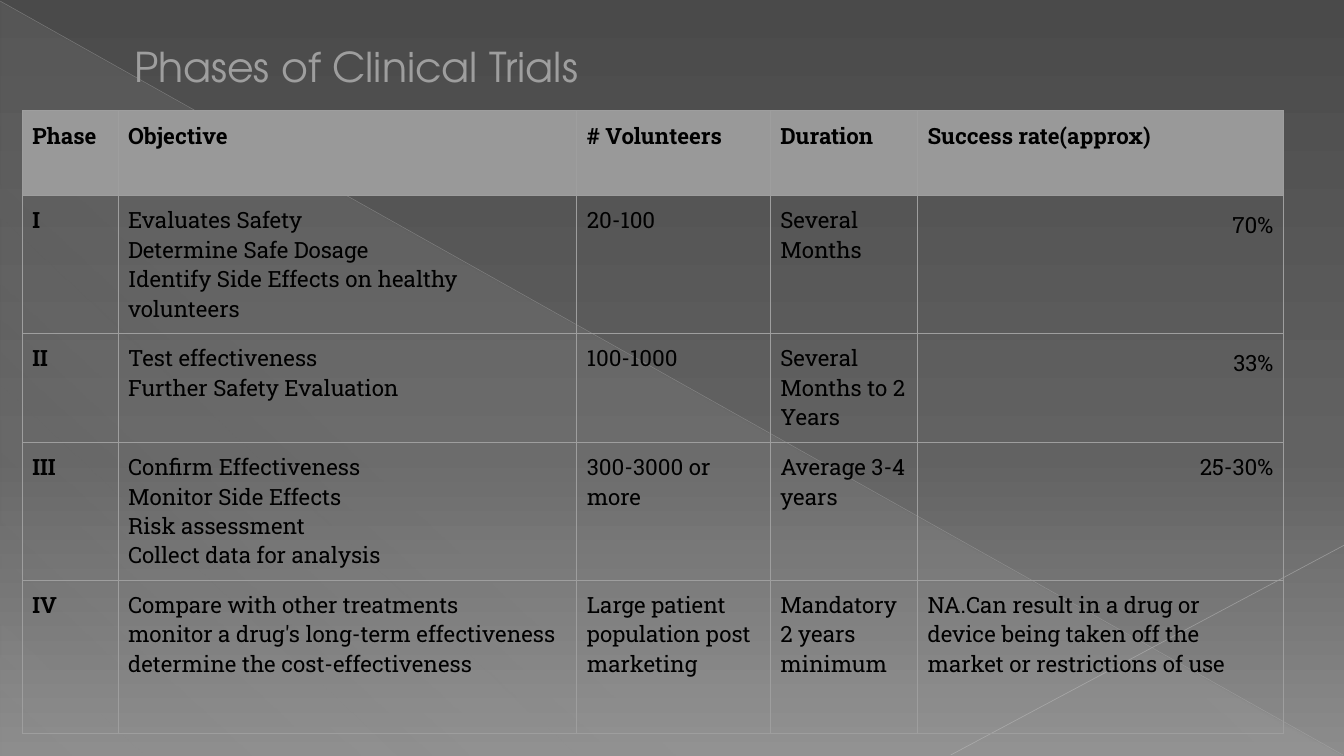
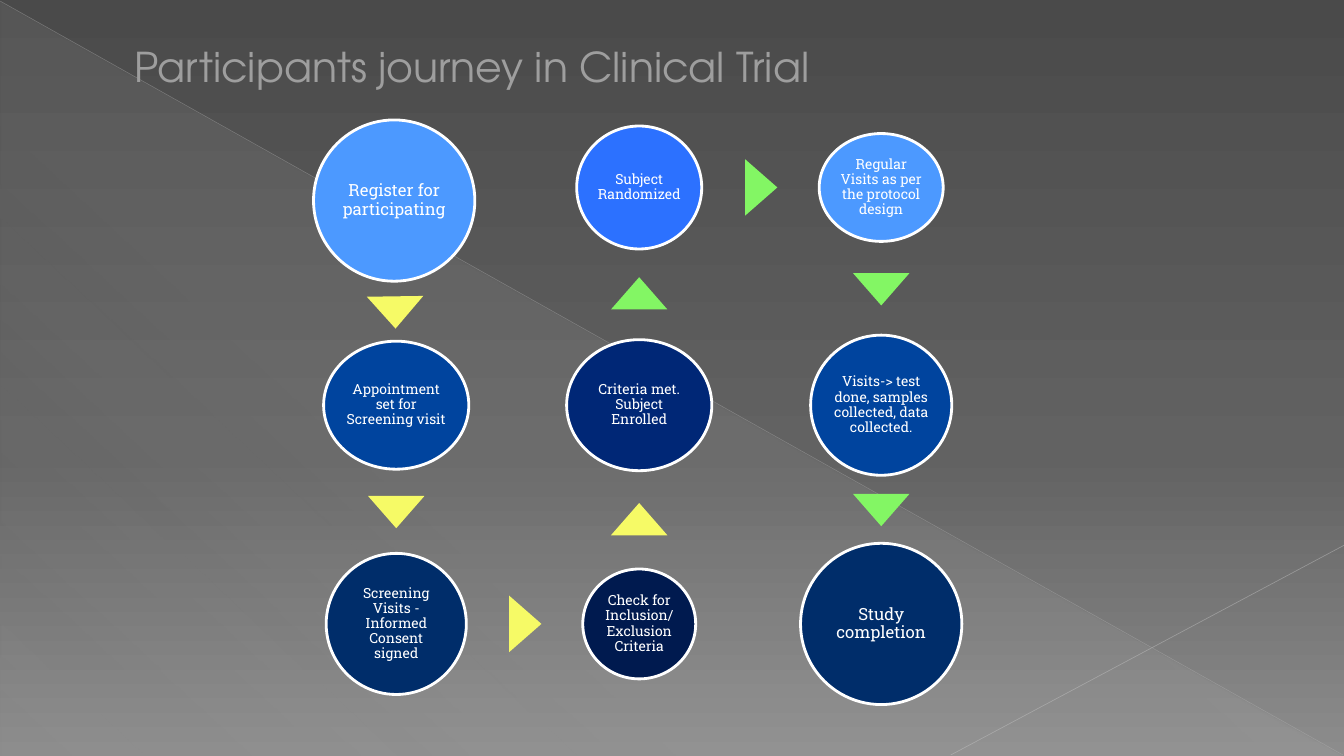
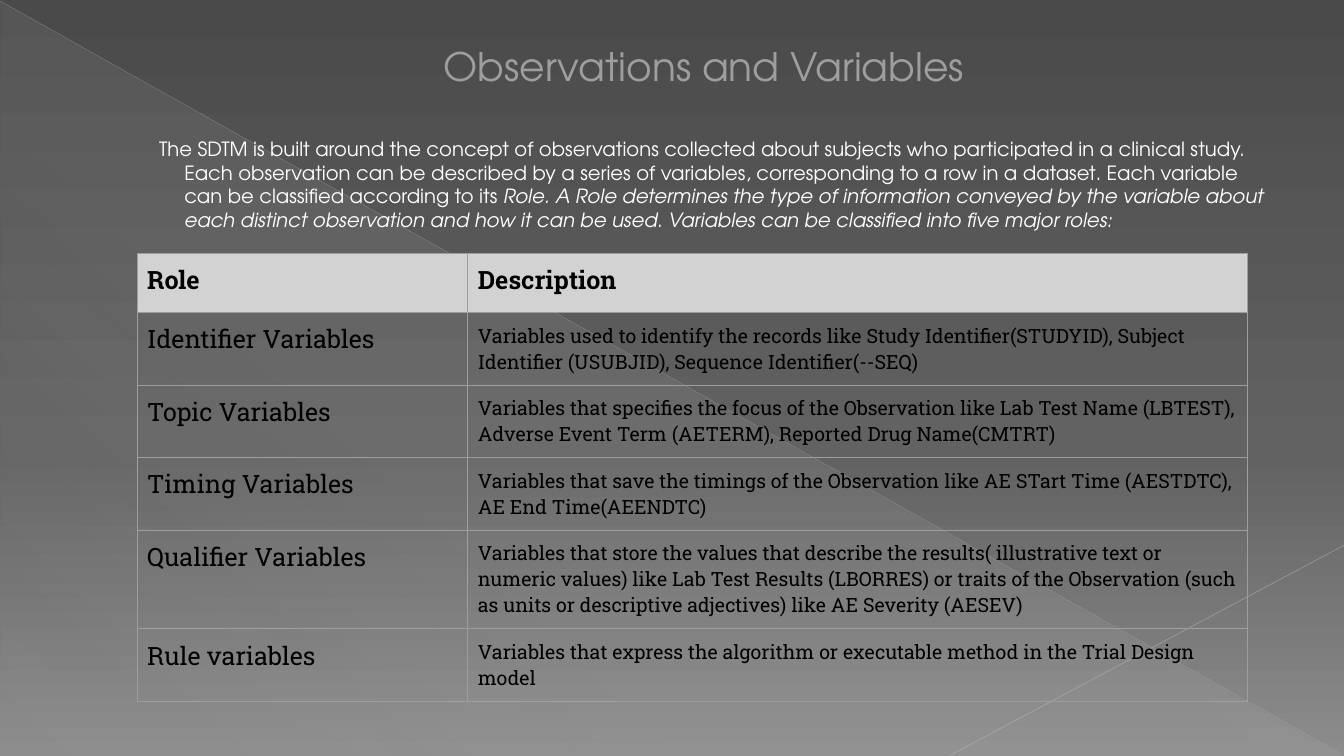
from lxml import etree
from pptx import Presentation
from pptx.dml.color import RGBColor
from pptx.enum.shapes import MSO_CONNECTOR, MSO_SHAPE
from pptx.enum.text import MSO_ANCHOR, MSO_AUTO_SIZE, PP_ALIGN
from pptx.oxml import parse_xml
from pptx.oxml.ns import nsdecls, qn
from pptx.util import Inches, Pt

LEFT, CENTER, RIGHT = PP_ALIGN.LEFT, PP_ALIGN.CENTER, PP_ALIGN.RIGHT
TOP, MIDDLE = MSO_ANCHOR.TOP, MSO_ANCHOR.MIDDLE
OVAL, TRIANGLE, RIGHT_TRIANGLE = MSO_SHAPE.OVAL, MSO_SHAPE.ISOSCELES_TRIANGLE, MSO_SHAPE.RIGHT_TRIANGLE
STRAIGHT = MSO_CONNECTOR.STRAIGHT
NO_FIT = MSO_AUTO_SIZE.NONE
SERIF, SANS = "Roboto Slab", "TeX Gyre Adventor"
GREY, LIGHT, BLACK, WHITE = "9E9E9E", "D2D2D2", "000000", "FFFFFF"
YELLOW, GREEN = "F6FA66", "83F664"

# Shared look: gradient stops are (position %, colour, opacity %)
BACKGROUND = [(0, "4A4A4A", 100), (60, "626262", 100), (100, "8C8C8C", 100)]
WEDGE = [(0, LIGHT, 10), (70, LIGHT, 8), (100, LIGHT, 1)]
# start x, start y, end x, end y, colour, width, opacity %
RULES = [(0, 0.01, 13.32, 7.49, "BFBFBF", 0.39, 35),
         (13.33, 5.41, 9.43, 7.49, "C6C6C6", 0.47, 45)]

# Slide 1: each cell is a list of paragraphs
PHASES = [
    [["Phase"], ["Objective"], ["# Volunteers"], ["Duration"], ["Success rate(approx)"]],
    [["I"], ["Evaluates Safety", "Determine Safe Dosage",
             "Identify Side Effects on healthy volunteers"],
     ["20-100"], ["Several Months"], ["70%"]],
    [["II"], ["Test effectiveness", "Further Safety Evaluation"],
     ["100-1000"], ["Several Months to 2 Years"], ["33%"]],
    [["III"], ["Confirm Effectiveness", "Monitor Side Effects", "Risk assessment",
               "Collect data for analysis"],
     ["300-3000 or more"], ["Average 3-4 years"], ["25-30%"]],
    [["IV"], ["Compare with other treatments", "monitor a drug's long-term effectiveness",
              "determine the cost-effectiveness"],
     ["Large patient population post marketing"], ["Mandatory 2 years minimum"],
     ["NA.Can result in a drug or device being taken off the market or restrictions of use"]],
]

# Slide 2: column centres and row centres of the journey
COLUMN_X = [3.93, 6.34, 8.74]
ROW_Y = [1.86, 4.02, 6.19]
# text, centre, width, height, fill, text size
STEPS = [
    ("Register for participating", (3.91, 1.99), 1.6, 1.6, "4C99FF", 12),
    ("Appointment set for Screening visit", (COLUMN_X[0], ROW_Y[1]), 1.44, 1.27, "00449E", 10),
    ("Screening Visits - Informed Consent signed", (COLUMN_X[0], ROW_Y[2]), 1.39, 1.4, "002D6A", 10),
    ("Check for Inclusion/ Exclusion Criteria", (COLUMN_X[1], ROW_Y[2]), 1.12, 1.09, "001A4F", 10),
    ("Criteria met. Subject Enrolled", (COLUMN_X[1], ROW_Y[1]), 1.44, 1.3, "002776", 10),
    ("Subject Randomized", (COLUMN_X[1], ROW_Y[0]), 1.24, 1.22, "2C71FF", 10),
    ("Regular Visits as per the protocol design", (COLUMN_X[2], ROW_Y[0]), 1.23, 1.07, "4C99FF", 10),
    ("Visits-> test done, samples collected, data collected.",
     (COLUMN_X[2], ROW_Y[1]), 1.4, 1.39, "00449E", 10),
    ("Study completion", (COLUMN_X[2], ROW_Y[2]), 1.6, 1.6, "002D6A", 12),
]
# centre, rotation, fill
ARROWS = [
    ((3.92, 3.1), 179.2, YELLOW), ((COLUMN_X[0], 5.08), 180, YELLOW),
    ((5.21, ROW_Y[2]), 90, YELLOW), ((COLUMN_X[1], 5.15), 0, YELLOW),
    ((COLUMN_X[1], 2.91), 0, GREEN), ((7.55, ROW_Y[0]), 90, GREEN),
    ((COLUMN_X[2], 2.87), 180, GREEN), ((COLUMN_X[2], 5.06), 180, GREEN),
]

# Slide 3: the introduction is (text, italic) spans
INTRO = [
    ("The SDTM is built around the concept of observations collected about subjects who "
     "participated in a clinical study. Each observation can be described by a series of "
     "variables, corresponding to a row in a dataset. Each variable can be classified "
     "according to its ", False),
    ("Role. A Role determines the type of information conveyed by the variable about each "
     "distinct observation and how it can be used. Variables can be classified into five "
     "major roles:", True),
]
ROLES = [
    [["Role"], ["Description"]],
    [["Identifier Variables"],
     ["Variables used to identify the records like Study Identifier(STUDYID), Subject "
      "Identifier (USUBJID), Sequence Identifier(--SEQ)"]],
    [["Topic Variables"],
     ["Variables that specifies the focus of the Observation like Lab Test Name (LBTEST), "
      "Adverse Event Term (AETERM), Reported Drug Name(CMTRT)"]],
    [["Timing Variables"],
     ["Variables that save the timings of the Observation like AE STart Time (AESTDTC), "
      "AE End Time(AEENDTC)"]],
    [["Qualifier Variables"],
     ["Variables that store the values that describe the results( illustrative text or "
      "numeric values) like Lab Test Results (LBORRES) or traits of the Observation (such "
      "as units or descriptive adjectives) like AE Severity (AESEV)"]],
    [["Rule variables"],
     ["Variables that express the algorithm or executable method in the Trial Design model"]],
]


def color(code):
    return RGBColor.from_string(code)


def write(frame, paragraphs, size, font=SERIF, code=BLACK, bold=False, align=LEFT,
          spacing=None, anchor=TOP, insets=(0.1, 0.05), indent=None):
    """Fill a text frame; a paragraph is a string or a list of (text, italic)."""
    frame.word_wrap = True
    frame.auto_size = NO_FIT
    frame.vertical_anchor = anchor
    frame.margin_left = frame.margin_right = Inches(insets[0])
    frame.margin_top = frame.margin_bottom = Inches(insets[1])
    for index, content in enumerate(paragraphs):
        para = frame.add_paragraph() if index else frame.paragraphs[0]
        para.alignment = align
        if spacing:
            para.line_spacing = spacing
        if indent:
            properties = para._p.get_or_add_pPr()
            properties.set("marL", str(Inches(indent[0])))
            properties.set("indent", str(Inches(indent[1])))
        for text, italic in [(content, False)] if isinstance(content, str) else content:
            span = para.add_run()
            span.text = text
            span.font.name, span.font.size = font, Pt(size)
            span.font.bold, span.font.italic = bold, italic
            span.font.color.rgb = color(code)


def set_gradient(owner, stops, angle):
    """Swap the owner's solid fill for a linear gradient."""
    owner.fill.solid() if hasattr(owner, "fill") else owner.background.fill.solid()
    solid = owner._element.find(".//" + qn("a:solidFill"))
    marks = "".join(
        f'<a:gs pos="{place * 1000}"><a:srgbClr val="{code}">'
        f'<a:alpha val="{opacity * 1000}"/></a:srgbClr></a:gs>'
        for place, code, opacity in stops)
    solid.getparent().replace(solid, parse_xml(
        f'<a:gradFill rotWithShape="1" {nsdecls("a")}><a:gsLst>{marks}</a:gsLst>'
        f'<a:lin ang="{angle * 60000}" scaled="0"/></a:gradFill>'))


def add_shape(page, kind, center, width, height, code):
    x, y = center
    shape = page.shapes.add_shape(kind, Inches(x - width / 2), Inches(y - height / 2),
                                  Inches(width), Inches(height))
    shape.shadow.inherit = False
    shape.fill.solid()
    shape.fill.fore_color.rgb = color(code)
    shape.line.fill.background()
    return shape


def decorate_master(deck, page):
    """Build the wedge and rules, then hand them to the slide master."""
    master = deck.slide_master
    set_gradient(master, BACKGROUND, 90)
    wedge = add_shape(page, RIGHT_TRIANGLE, (6.66, 3.76), 13.31, 7.48, LIGHT)
    set_gradient(wedge, WEDGE, 133)
    parts = [wedge]
    for x1, y1, x2, y2, code, width, opacity in RULES:
        rule = page.shapes.add_connector(STRAIGHT, Inches(x1), Inches(y1), Inches(x2), Inches(y2))
        rule.line.color.rgb = color(code)
        rule.line.width = Pt(width)
        tint = rule._element.find(".//" + qn("a:srgbClr"))
        etree.SubElement(tint, qn("a:alpha")).set("val", str(opacity * 1000))
        etree.SubElement(rule._element.spPr, qn("a:effectLst"))
        parts.append(rule)
    for index, part in enumerate(parts):
        part._element.xpath(".//p:cNvPr")[0].set("id", str(20 + index))
        master.shapes._spTree.insert(2 + index, part._element)


def add_page(deck, title, size=29.3, **options):
    page = deck.slides.add_slide(deck.slide_layouts[5])
    box = page.shapes.title
    box.left, box.top, box.width, box.height = map(Inches, (1.23, 0.18, 11.42, 0.95))
    write(box.text_frame, [title], size, font=SANS, code=GREY, anchor=MIDDLE, **options)
    return page


def border_cell(cell):
    properties = cell._tc.get_or_add_tcPr()
    for index, side in enumerate(("lnL", "lnR", "lnT", "lnB")):
        properties.insert(index, parse_xml(
            f'<a:{side} w="9525" {nsdecls("a")}><a:solidFill><a:srgbClr val="{GREY}"/>'
            f'</a:solidFill><a:prstDash val="solid"/></a:{side}>'))


def add_table(page, rows, left, top, widths, heights, header_fill, cell_format):
    """cell_format(row, column, text) gives the text options of a cell."""
    table = page.shapes.add_table(len(rows), len(widths), Inches(left), Inches(top),
                                  Inches(sum(widths)), Inches(sum(heights))).table
    table.first_row = table.horz_banding = False
    for column, width in zip(table.columns, widths):
        column.width = Inches(width)
    for r, (row, height) in enumerate(zip(rows, heights)):
        table.rows[r].height = Inches(height)
        for c, paragraphs in enumerate(row):
            cell = table.cell(r, c)
            if r == 0:
                cell.fill.solid()
                cell.fill.fore_color.rgb = color(header_fill)
            else:
                cell.fill.background()
            border_cell(cell)
            write(cell.text_frame, paragraphs, **cell_format(r, c, paragraphs[0]))
            cell.margin_left = cell.margin_right = Inches(0.1)
            cell.margin_top = cell.margin_bottom = Inches(0.1)


def phase_format(row, column, text):
    return {"size": 16, "bold": row == 0 or column == 0,
            "align": RIGHT if text.endswith("%") else LEFT,
            "spacing": 1.15 if text in ("70%", "33%") else None}


def role_format(row, column, text):
    return {"size": 14 if row and column else 18, "bold": row == 0}


def main():
    deck = Presentation()
    deck.slide_width, deck.slide_height = Inches(13.33), Inches(7.5)

    # Slide 1: table of phases
    page = add_page(deck, "Phases of Clinical Trials")
    decorate_master(deck, page)
    add_table(page, PHASES, 0.22, 1.1, [0.95, 4.55, 1.92, 1.46, 3.63],
              [0.84, 1.36, 1.08, 1.36, 1.52], "999999", phase_format)

    # Slide 2: journey of circles and arrows
    page = add_page(deck, "Participants journey in Clinical Trial")
    for text, center, width, height, code, size in STEPS:
        circle = add_shape(page, OVAL, center, width, height, code)
        circle.line.color.rgb = color(WHITE)
        circle.line.width = Pt(2)
        write(circle.text_frame, [text], size, code=WHITE, align=CENTER, spacing=0.9,
              anchor=MIDDLE, insets=(0.01, 0.01))
    for center, rotation, code in ARROWS:
        add_shape(page, TRIANGLE, center, 0.56, 0.32, code).rotation = rotation

    # Slide 3: introduction and table of roles
    page = add_page(deck, "Observations and Variables", size=28, align=CENTER,
                    indent=(0.5, -0.42))
    box = page.shapes.add_textbox(Inches(1.23), Inches(1.31), Inches(11.44), Inches(1.1))
    write(box.text_frame, [INTRO], 14, font=SANS, code=WHITE, indent=(0.5, -0.25))
    add_table(page, ROLES, 1.36, 2.51, [3.28, 7.73],
              [0.59, 0.72, 0.72, 0.72, 0.98, 0.72], LIGHT, role_format)

    deck.save("out.pptx")


if __name__ == "__main__":
    main()
